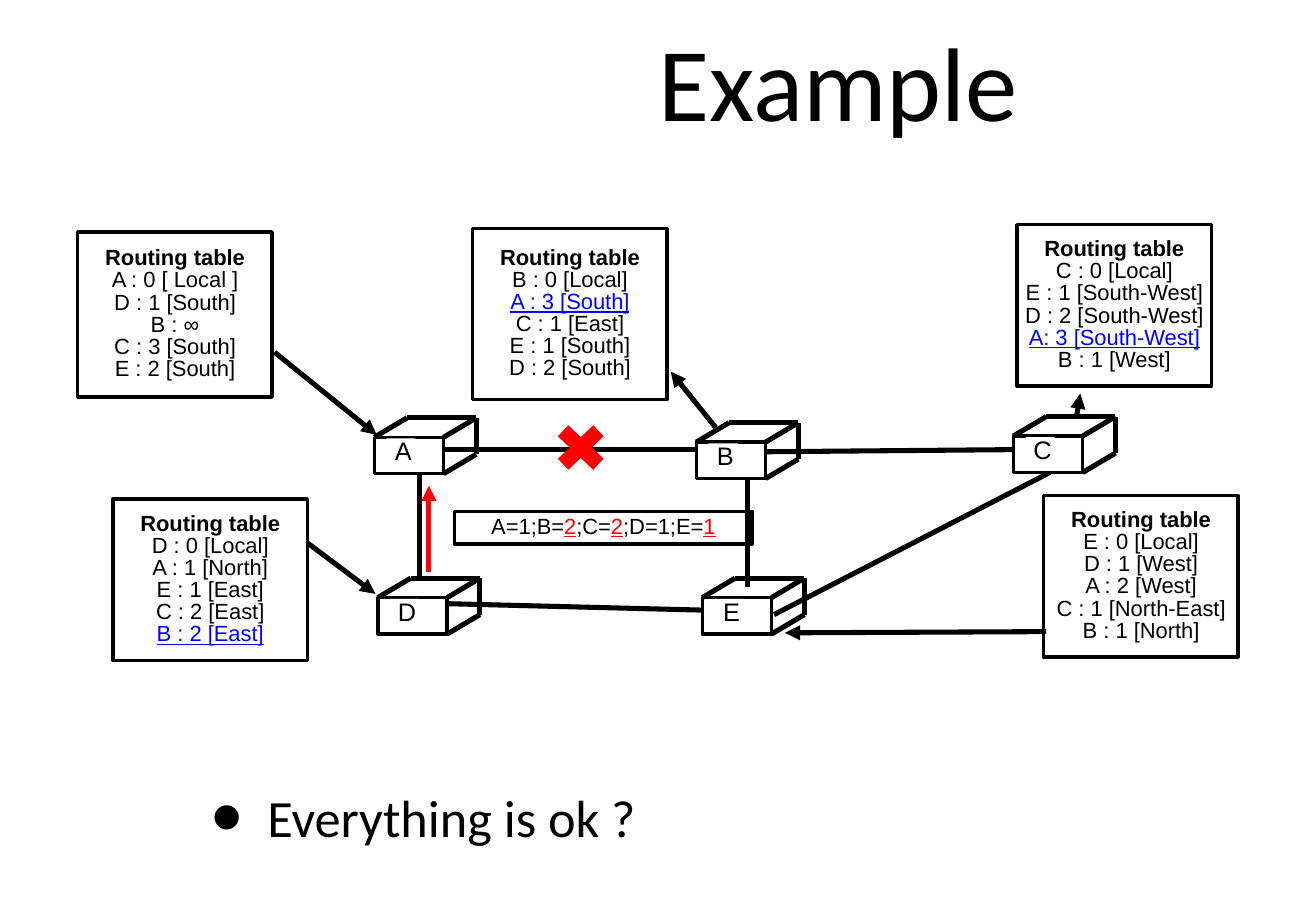
from dataclasses import dataclass

from lxml import etree
from pptx import Presentation
from pptx import util as u
from pptx.dml.color import RGBColor
from pptx.enum import shapes, text
from pptx.oxml import ns

BLACK, WHITE, RED, BLUE = "000000", "FFFFFF", "FF0000", "0000FF"
DEPTH_X, DEPTH_Y = 0.27, 0.16
FRONT_W, FRONT_H = 0.57, 0.3


@dataclass
class Span:
    text: str
    colour: str = BLACK
    bold: bool = False
    underline: bool = False
    size: float = 13
    font: str = "Arial"


@dataclass
class Router:
    name: str
    x: float
    y: float


@dataclass
class RoutingTable:
    x: float
    y: float
    h: float
    routes: list[str]
    changed: str = ""


@dataclass
class Link:
    x1: float
    y1: float
    x2: float
    y2: float
    colour: str = BLACK
    arrow: bool = False


ROUTERS = [
    Router("A", 3.08, 3.6),
    Router("B", 5.73, 3.64),
    Router("C", 8.34, 3.59),
    Router("D", 3.11, 4.92),
    Router("E", 5.78, 4.92),
]
LINKS = [
    Link(3.45, 3.9, 3.45, 4.77),
    Link(3.67, 4.97, 6.06, 5.03),
    Link(3.62, 3.7, 6.03, 3.7),
    Link(6.15, 3.88, 6.15, 4.83),
    Link(6.37, 5.06, 8.64, 3.89),
    Link(6.26, 3.72, 8.53, 3.7),
]
ARROWS = [
    Link(2.26, 2.9, 3.1, 3.58, arrow=True),
    Link(5.89, 3.52, 5.52, 3.06, arrow=True),
    Link(8.86, 3.43, 8.89, 3.24, arrow=True),
    Link(2.53, 4.47, 3.09, 4.89, arrow=True),
    Link(8.61, 5.2, 6.46, 5.21, arrow=True),
    Link(3.53, 4.71, 3.53, 4, RED, True),
]
TABLES = [
    RoutingTable(0.64, 1.91, 1.36, ["A : 0 [ Local ]", "D : 1 [South]", "B : ∞",
                                    "C : 3 [South]", "E : 2 [South]"]),
    RoutingTable(3.89, 1.88, 1.41, ["B : 0 [Local]", "A : 3 [South]", "C : 1 [East]",
                                    "E : 1 [South]", "D : 2 [South]"], "A : 3 [South]"),
    RoutingTable(8.37, 1.85, 1.33, ["C : 0 [Local]", "E : 1 [South-West]", "D : 2 [South-West]",
                                    "A: 3 [South-West]", "B : 1 [West]"], "A: 3 [South-West]"),
    RoutingTable(0.93, 4.11, 1.33, ["D : 0 [Local]", "A : 1 [North]", "E : 1 [East]",
                                    "C : 2 [East]", "B : 2 [East]"], "B : 2 [East]"),
    RoutingTable(8.59, 4.08, 1.33, ["E : 0 [Local]", "D : 1 [West]", "A : 2 [West]",
                                    "C : 1 [North-East]", "B : 1 [North]"]),
]


def rgb(colour: str) -> RGBColor:
    return RGBColor.from_string(colour)


def set_attrs(obj, values: dict) -> None:
    for name, value in values.items():
        setattr(obj, name, value)


def write(sp, lines: list[list[Span]], margin: float = 0, spacing: float | None = 0.84,
          align=text.PP_ALIGN.CENTER, wrap: bool = True) -> None:
    tf = sp.text_frame
    sides = ("margin_left", "margin_top", "margin_right", "margin_bottom")
    set_attrs(tf, dict.fromkeys(sides, u.Inches(margin)))
    set_attrs(tf, {"word_wrap": wrap, "vertical_anchor": text.MSO_ANCHOR.MIDDLE,
                   "auto_size": text.MSO_AUTO_SIZE.NONE})
    for i, line in enumerate(lines):
        p = tf.add_paragraph() if i else tf.paragraphs[0]
        set_attrs(p, {"alignment": align, "line_spacing": spacing})
        for span in line:
            r = p.add_run()
            r.text = span.text
            set_attrs(r.font, {"name": span.font, "size": u.Pt(span.size),
                               "bold": span.bold, "underline": span.underline})
            r.font.color.rgb = rgb(span.colour)


def add_box(parent, x: float, y: float, w: float, h: float, fill: str | None = None,
            line: str | None = BLACK, kind=shapes.MSO_SHAPE.RECTANGLE):
    sp = parent.add_shape(kind, *map(u.Inches, (x, y, w, h)))
    sp.shadow.inherit = False
    if fill:
        sp.fill.solid()
        sp.fill.fore_color.rgb = rgb(fill)
    else:
        sp.fill.background()
    if line:
        sp.line.color.rgb = rgb(line)
        sp.line.width = u.Pt(2)
    else:
        sp.line.fill.background()
    return sp


def add_link(parent, link: Link) -> None:
    ends = map(u.Inches, (link.x1, link.y1, link.x2, link.y2))
    sp = parent.add_connector(shapes.MSO_CONNECTOR.STRAIGHT, *ends)
    sp.line.color.rgb = rgb(link.colour)
    sp.line.width = u.Pt(3)
    if link.arrow:
        etree.SubElement(sp.line._get_or_add_ln(), ns.qn("a:tailEnd"), type="triangle")
    etree.SubElement(sp._element.spPr, ns.qn("a:effectLst"))


def add_router(parent, router: Router) -> None:
    group = parent.add_group_shape().shapes
    left, top = router.x, router.y
    right, bottom = left + FRONT_W, top + FRONT_H
    back_left, back_right = left + DEPTH_X, right + DEPTH_X
    back_top, back_bottom = top - DEPTH_Y, bottom - DEPTH_Y
    add_box(group, left, top, FRONT_W, FRONT_H, WHITE)
    for edge in [
        (left, top, back_left, back_top),
        (right, top, back_right, back_top),
        (right, bottom, back_right, back_bottom),
        (back_left, back_top, back_right, back_top),
        (back_right, back_top, back_right, back_bottom),
    ]:
        add_link(group, Link(*edge))
    label = add_box(group, left + 0.1, top + 0.01, 0.24, 0.24, WHITE, None)
    write(label, [[Span(router.name, size=15)]], wrap=False)
    label.text_frame.margin_left = u.Inches(0.04)


def add_routing_table(parent, table: RoutingTable) -> None:
    lines = [[Span("Routing table", bold=True)]]
    for route in table.routes:
        changed = route == table.changed
        lines.append([Span(route, BLUE if changed else BLACK, underline=changed)])
    write(add_box(parent, table.x, table.y, 1.6, table.h), lines)


def add_question(parent) -> None:
    sp = parent.add_textbox(*map(u.Inches, (0.73, 5.94, 9.26, 1.56)))
    write(sp, [[Span("Everything is ok ?", size=31, font="Calibri")]],
          0.04, None, text.PP_ALIGN.LEFT)
    p = sp.text_frame.paragraphs[0]
    p.space_before = u.Pt(17.7)
    pPr = p._p.get_or_add_pPr()
    pPr.set("marL", str(u.Inches(1.43)))
    pPr.set("indent", str(u.Inches(-0.46)))
    etree.SubElement(pPr, ns.qn("a:buSzPct"), val="171000")
    etree.SubElement(pPr, ns.qn("a:buFont"), typeface="Arial")
    etree.SubElement(pPr, ns.qn("a:buChar"), char="•")


def main() -> None:
    prs = Presentation()
    set_attrs(prs, {"slide_width": u.Inches(10.83), "slide_height": u.Inches(7.5)})
    s = prs.slides.add_slide(prs.slide_layouts[5])
    title = s.shapes.title
    set_attrs(title, {"left": u.Inches(3.66), "top": u.Inches(0),
                      "width": u.Inches(6.48), "height": u.Inches(1.32)})
    write(title, [[Span("Example", size=62, font="Calibri")]], 0.04, None)
    for link in LINKS:
        add_link(s.shapes, link)
    for router in ROUTERS:
        add_router(s.shapes, router)
    for table in TABLES:
        add_routing_table(s.shapes, table)
    update = [Span("A=1;B="), Span("2", RED, underline=True), Span(";C="),
              Span("2", RED, underline=True), Span(";D=1;E="), Span("1", RED, underline=True)]
    write(add_box(s.shapes, 3.74, 4.21, 2.45, 0.27), [update])
    for arrow in ARROWS:
        add_link(s.shapes, arrow)
    add_question(s.shapes)
    add_box(s.shapes, 4.5, 3.42, 0.56, 0.53, RED, None, shapes.MSO_SHAPE.MATH_MULTIPLY)
    prs.save("out.pptx")


if __name__ == "__main__":
    main()
